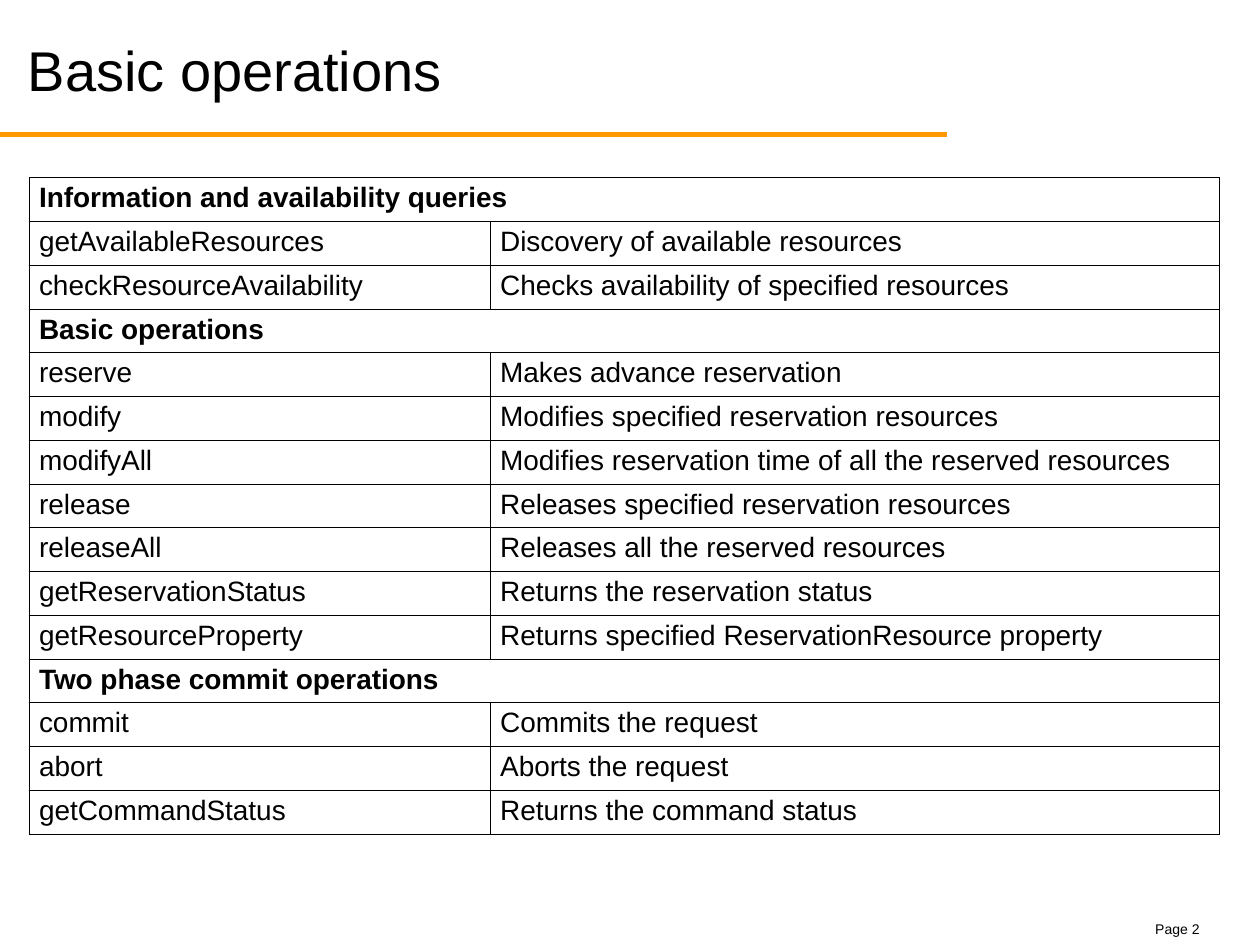
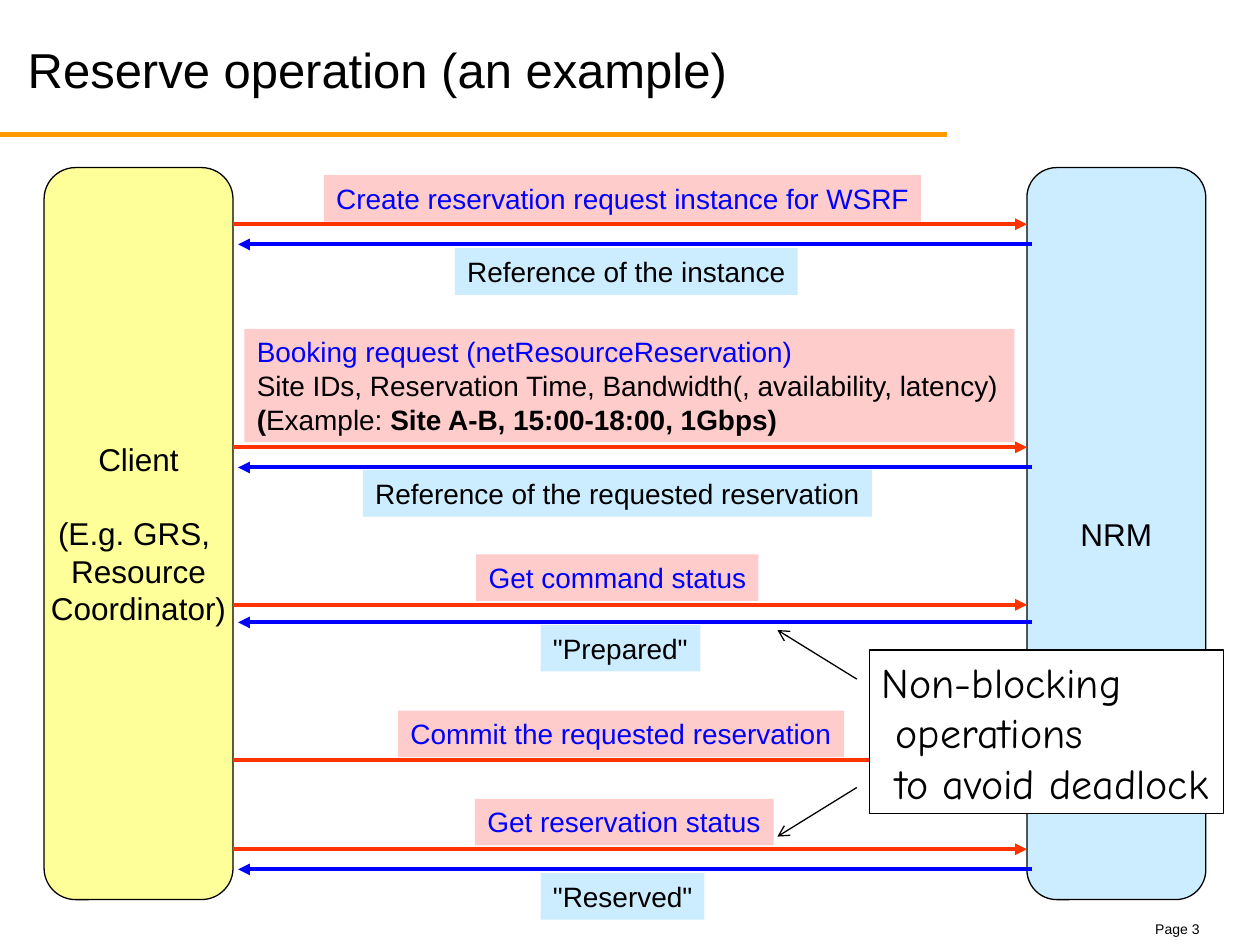
"""Build two slides on the operations of a network reservation service."""
from dataclasses import dataclass
from typing import Any, NamedTuple, Optional

from lxml import etree
from pptx import Presentation
from pptx import util as u
from pptx.dml.color import RGBColor
from pptx.enum import shapes, text
from pptx.oxml import ns

PX = 9144


@dataclass(frozen=True)
class Theme:
    """Colours, fonts and type sizes of the deck."""
    font: str = "Arial"
    note_font: str = "Comic Neue"
    ink: str = "000000"
    paper: str = "FFFFFF"
    accent: str = "FF9900"
    request_line: str = "FF3300"
    request_fill: str = "FFCCCC"
    reply_line: str = "0000FF"
    reply_fill: str = "CCECFF"
    request_ink: str = "0000FF"
    client_fill: str = "FFFF99"
    page_size: float = 8
    body_size: float = 16
    panel_size: float = 18
    note_size: float = 24
    thin: float = 0.75
    grid: float = 0.45
    arrow: float = 2.25
    rule: float = 3


T = Theme()


class Box(NamedTuple):
    """A rectangle in px."""
    x: int
    y: int
    w: int
    h: int


class Run(NamedTuple):
    """A stretch of text in one format, with an optional line break after it."""
    text: str
    color: str = T.ink
    bold: bool = False
    broken: bool = False


class Para(NamedTuple):
    """One paragraph, with its space before (pt) and indent (px)."""
    runs: tuple[Run, ...]
    before: float = 0
    indent: int = 0


@dataclass(frozen=True)
class Label:
    """A message caption placed by an arrow."""
    x: int
    y: int
    w: int
    paras: tuple[Para, ...]
    h: int = 37


@dataclass(frozen=True)
class Exchange:
    """A request arrow at height y and the reply below it."""
    y: int
    request: Label
    reply: Optional[Label] = None
    gap: int = 16


def plain(content: str, color: str = T.ink, indent: int = 0) -> Para:
    """Return a paragraph made of one run."""
    return Para((Run(content, color),), indent=indent)


SECTIONS = {
    "Information and availability queries": (
        ("getAvailableResources", "Discovery of available resources"),
        ("checkResourceAvailability", "Checks availability of specified resources"),
    ),
    "Basic operations": (
        ("reserve", "Makes advance reservation"),
        ("modify", "Modifies specified reservation resources"),
        ("modifyAll", "Modifies reservation time of all the reserved resources"),
        ("release", "Releases specified reservation resources"),
        ("releaseAll", "Releases all the reserved resources"),
        ("getReservationStatus", "Returns the reservation status"),
        ("getResourceProperty", "Returns specified ReservationResource property"),
    ),
    "Two phase commit operations": (
        ("commit", "Commits the request"),
        ("abort", "Aborts the request"),
        ("getCommandStatus", "Returns the command status"),
    ),
}

BOOKING = (
    Para((Run("Booking request (netResourceReservation)", T.request_ink, broken=True),
          Run("Site IDs, Reservation Time, Bandwidth(, availability, latency)"))),
    Para((Run("(", bold=True), Run("Example:"),
          Run(" Site A-B, 15:00-18:00, 1Gbps)", bold=True))),
)

EXCHANGES = (
    Exchange(178, Label(257, 139, 474, (plain("Create reservation request instance for WSRF", T.request_ink),)),
             Label(361, 197, 272, (plain("Reference of the instance"),))),
    Exchange(355, Label(194, 261, 611, BOOKING, 90),
             Label(288, 373, 404, (plain("Reference of the requested reservation"),))),
    Exchange(480, Label(378, 440, 224, (plain("Get command status", T.request_ink),)),
             Label(429, 496, 127, (plain('"Prepared"'),)), gap=14),
    Exchange(603, Label(316, 564, 354, (plain("Commit the requested reservation", T.request_ink),))),
    Exchange(674, Label(377, 634, 237, (plain("Get reservation status", T.request_ink),)),
             Label(429, 693, 130, (plain('"Reserved"'),))),
)

CLIENT = (
    plain("Client"),
    Para((Run("(E.g. GRS, ", broken=True), Run("Resource", broken=True), Run("Coordinator)")), before=20.7),
)
NOTE = (plain("Non-blocking"), plain("operations", indent=11), plain("to avoid deadlock", indent=11))


def rgb(value: str) -> RGBColor:
    """Return a colour from its hex value."""
    return RGBColor.from_string(value)


def apply(obj: Any, values: dict[str, Any]) -> None:
    """Set the attributes of an object from a dict."""
    for name, value in values.items():
        setattr(obj, name, value)


def emu(box: Box) -> list[int]:
    """Return the box lengths in EMU."""
    return [v * PX for v in box]


def write(tf: Any, paras: tuple[Para, ...], size: float, font: str = T.font,
          align: Any = text.PP_ALIGN.LEFT) -> None:
    """Fill a text frame with formatted paragraphs."""
    for i, para in enumerate(paras):
        p = tf.add_paragraph() if i else tf.paragraphs[0]
        apply(p, {"alignment": align, "space_before": u.Pt(para.before)})
        if para.indent:
            p._p.get_or_add_pPr().set("marL", str(para.indent * PX))
        for run in para.runs:
            r = p.add_run()
            r.text = run.text
            apply(r.font, {"name": font, "size": u.Pt(size), "bold": run.bold})
            r.font.color.rgb = rgb(run.color)
            if run.broken:
                p.add_line_break()


def add_box(s: Any, box: Box, paras: tuple[Para, ...], size: float, fill: str,
            outlined: bool = False, kind: Any = shapes.MSO_SHAPE.RECTANGLE,
            font: str = T.font, align: Any = text.PP_ALIGN.LEFT,
            anchor: Any = text.MSO_ANCHOR.TOP) -> None:
    """Draw a filled shape with text."""
    sp = s.shapes.add_shape(kind, *emu(box))
    sp.shadow.inherit = False
    sp.fill.solid()
    sp.fill.fore_color.rgb = rgb(fill)
    if outlined:
        sp.line.color.rgb = rgb(T.ink)
        sp.line.width = u.Pt(T.thin)
    else:
        sp.line.fill.background()
    apply(sp.text_frame, {"word_wrap": False, "vertical_anchor": anchor})
    write(sp.text_frame, paras, size, font, align)


def add_label(s: Any, label: Label, fill: str) -> None:
    """Draw a message caption."""
    add_box(s, Box(label.x, label.y, label.w, label.h), label.paras, T.body_size, fill)


def add_line(s: Any, start: tuple[int, int], end: tuple[int, int], color: str,
             width: float, head: str = "") -> None:
    """Draw a straight line, with an arrowhead at its end if one is named."""
    points = [v * PX for v in (*start, *end)]
    sp = s.shapes.add_connector(shapes.MSO_CONNECTOR.STRAIGHT, *points)
    sp.line.color.rgb = rgb(color)
    sp.line.width = u.Pt(width)
    if head:
        etree.SubElement(sp.line._get_or_add_ln(), ns.qn("a:tailEnd"), type=head)
    etree.SubElement(sp._element.spPr, ns.qn("a:effectLst"))


def add_slide(prs: Any, title: str, size: float, page: int) -> Any:
    """Add a slide with its title, rule and page label."""
    s = prs.slides.add_slide(prs.slide_layouts[5])
    sp = s.shapes.title
    apply(sp, dict(zip(("left", "top", "width", "height"), emu(Box(12, 26, 976, 58)))))
    apply(sp.text_frame, {"word_wrap": True, "auto_size": text.MSO_AUTO_SIZE.NONE,
                          "vertical_anchor": text.MSO_ANCHOR.MIDDLE})
    write(sp.text_frame, (plain(title),), size)
    add_line(s, (0, 107), (752, 107), T.accent, T.rule)
    tf = s.shapes.add_textbox(*emu(Box(907, 726, 93, 24))).text_frame
    tf.word_wrap = True
    write(tf, (plain(f"Page {page}"),), T.page_size)
    return s


def format_cell(cell: Any) -> None:
    """Give a cell its margins, white fill and thin borders."""
    apply(cell, {"margin_left": 8 * PX, "margin_right": 8 * PX,
                 "margin_top": 4 * PX, "margin_bottom": 4 * PX})
    cell.fill.solid()
    cell.fill.fore_color.rgb = rgb(T.paper)
    tcPr = cell._tc.get_or_add_tcPr()
    for i, side in enumerate("LRTB"):
        ln = etree.Element(ns.qn(f"a:ln{side}"), w=str(u.Pt(T.grid)))
        fill = etree.SubElement(ln, ns.qn("a:solidFill"))
        etree.SubElement(fill, ns.qn("a:srgbClr"), val=T.ink)
        tcPr.insert(i, ln)


def add_operations(s: Any) -> None:
    """Draw the table of operations, each section under a merged heading."""
    rows = [row for heading, items in SECTIONS.items() for row in ((heading,), *items)]
    widths = (366, 579)
    table = s.shapes.add_table(len(rows), 2, *emu(Box(23, 141, sum(widths), 521))).table
    apply(table, {"first_row": False, "horz_banding": False})
    for column, width in zip(table.columns, widths):
        column.width = width * PX
    for i, row in enumerate(rows):
        heading = len(row) == 1
        for j in range(2):
            format_cell(table.cell(i, j))
        if heading:
            table.cell(i, 0).merge(table.cell(i, 1))
        for j, content in enumerate(row):
            write(table.cell(i, j).text_frame, (Para((Run(content, bold=heading),)),),
                  T.body_size, align=text.PP_ALIGN.JUSTIFY)


def add_exchange(s: Any, ex: Exchange) -> None:
    """Draw a request arrow, its reply arrow and their captions."""
    add_line(s, (185, ex.y), (815, ex.y), T.request_line, T.arrow, "triangle")
    add_label(s, ex.request, T.request_fill)
    if ex.reply:
        y = ex.y + ex.gap
        add_line(s, (819, y), (189, y), T.reply_line, T.arrow, "triangle")
        add_label(s, ex.reply, T.reply_fill)


def add_sequence(s: Any) -> None:
    """Draw the two parties, their exchanges and the note."""
    for box, paras, fill in ((Box(35, 133, 150, 581), CLIENT, T.client_fill),
                             (Box(815, 133, 142, 581), (plain("NRM"),), T.reply_fill)):
        add_box(s, box, paras, T.panel_size, fill, outlined=True,
                kind=shapes.MSO_SHAPE.ROUNDED_RECTANGLE,
                align=text.PP_ALIGN.CENTER, anchor=text.MSO_ANCHOR.MIDDLE)
    for ex in EXCHANGES:
        add_exchange(s, ex)
    add_box(s, Box(690, 516, 281, 130), NOTE, T.note_size, T.paper, outlined=True, font=T.note_font)
    for start, end in ((539, 500), (625, 664)):
        add_line(s, (680, start), (617, end), T.ink, T.thin, "arrow")


def main() -> None:
    """Build and save the deck."""
    prs = Presentation()
    apply(prs, {"slide_width": 1000 * PX, "slide_height": 750 * PX})
    add_operations(add_slide(prs, "Basic operations", 32, 2))
    add_sequence(add_slide(prs, "Reserve operation (an example)", 28, 3))
    prs.save("out.pptx")


if __name__ == "__main__":
    main()
